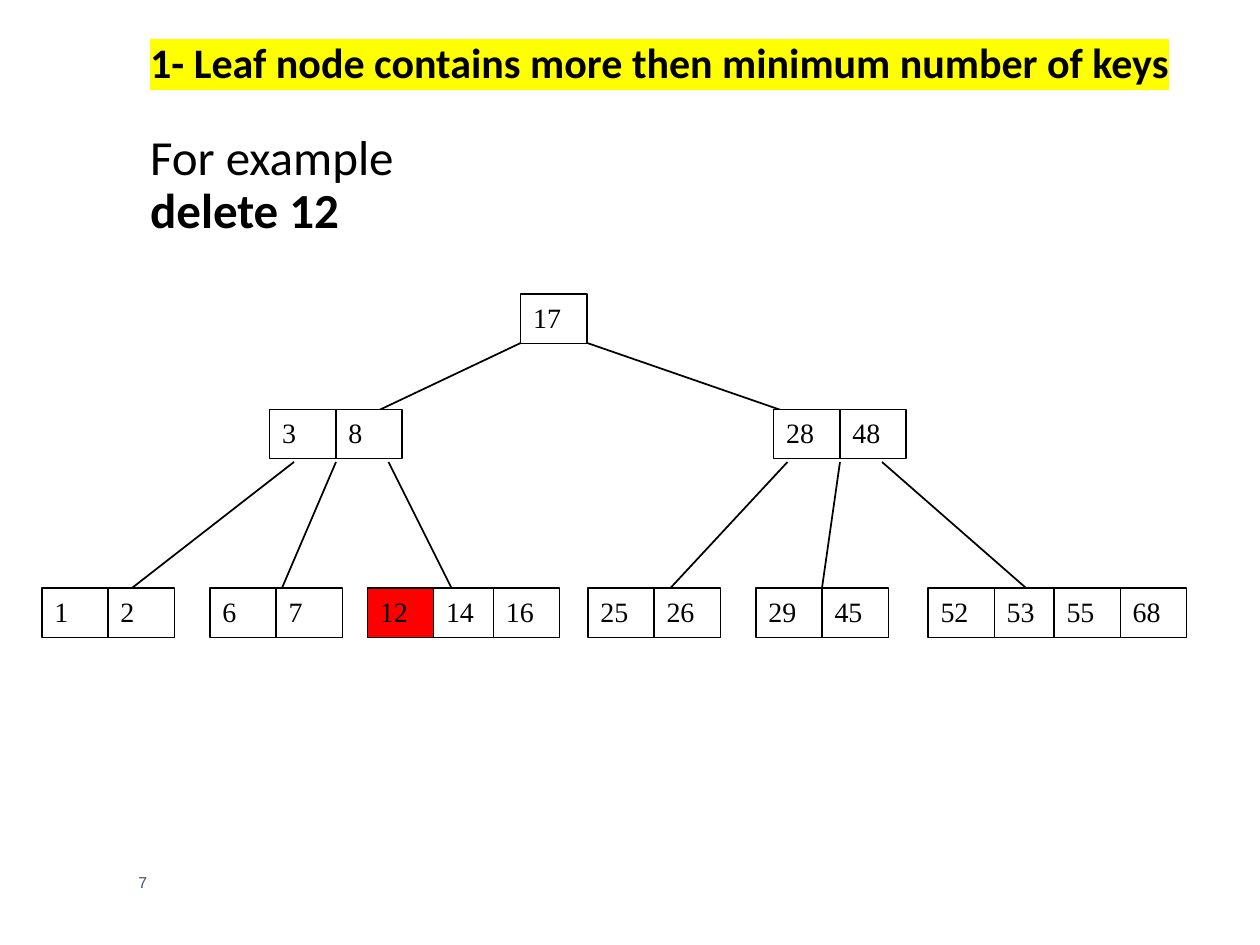
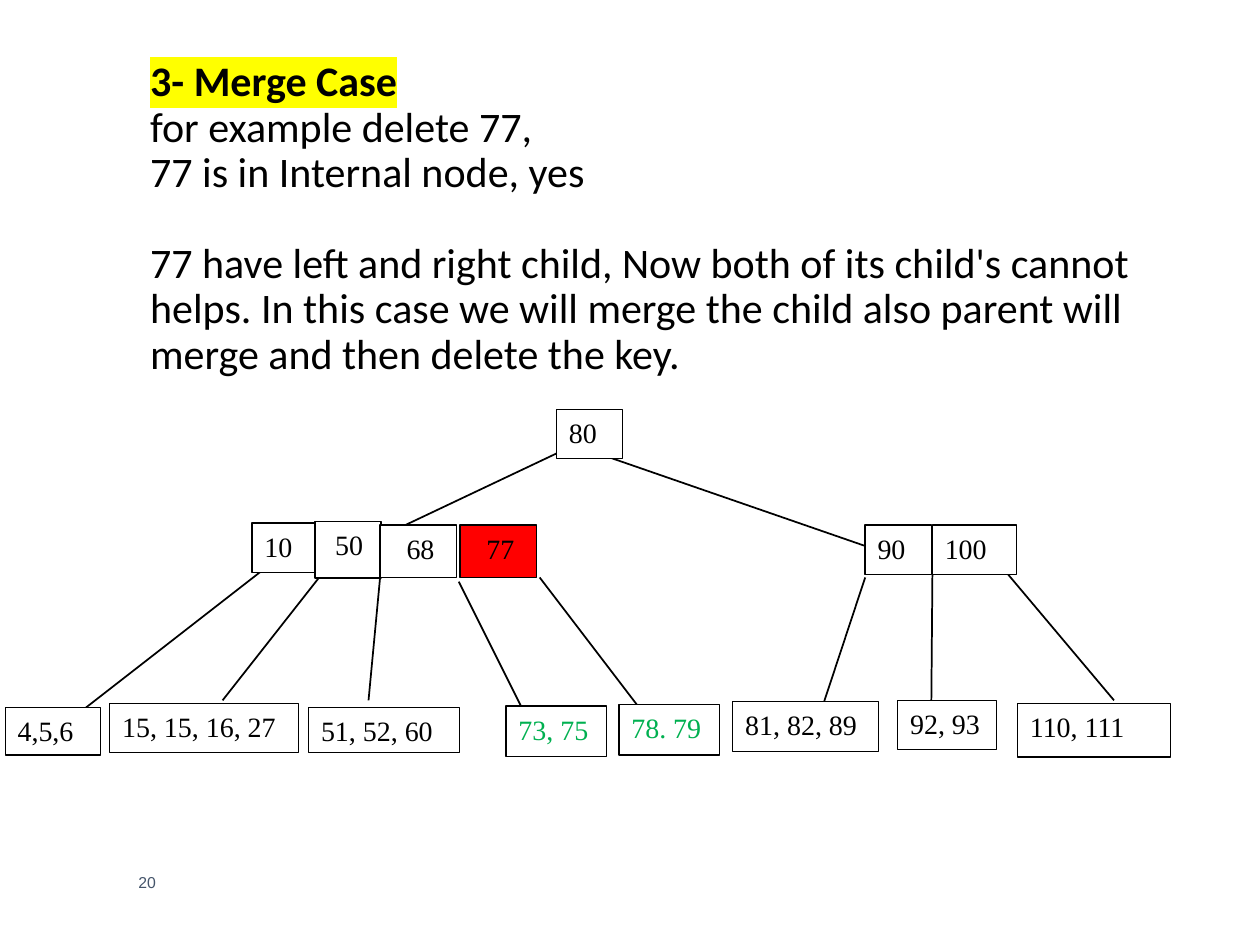
"""Build two slides that show deletion of a key from a B-tree."""
from dataclasses import dataclass, field

from lxml.etree import SubElement
from pptx import Presentation
from pptx.dml.color import RGBColor
from pptx.enum.shapes import MSO_CONNECTOR, MSO_SHAPE
from pptx.enum.text import MSO_ANCHOR, MSO_AUTO_SIZE, PP_ALIGN
from pptx.oxml.ns import qn
from pptx.util import Inches, Pt

COLORS = {"ink": "000000", "paper": "FFFFFF", "deleted": "FF0000", "merged": "00B050",
          "highlight": "FFFF00", "number": "44546A"}
WIDTH, HEIGHT = Inches(10), Inches(7.5)
COL, ROW = WIDTH / 120, HEIGHT / 90
KEY_W, KEY_H, PAIR_W = 6.3, 4.7, 12

FONTS = {
    "heading": {"name": "Calibri", "size": Pt(24), "bold": True},
    "text": {"name": "Calibri", "size": Pt(24), "bold": False},
    "example": {"name": "Calibri", "size": Pt(28), "bold": False},
    "task": {"name": "Calibri", "size": Pt(28), "bold": True},
    "key": {"name": "Times New Roman", "size": Pt(16)},
    "number": {"name": "Arial", "size": Pt(9)},
}
TITLE_FRAME = {"vertical_anchor": MSO_ANCHOR.MIDDLE, "auto_size": MSO_AUTO_SIZE.NONE, "word_wrap": True}
KEY_FRAME = {"vertical_anchor": MSO_ANCHOR.TOP, "word_wrap": True}
NUMBER_FRAME = {"vertical_anchor": MSO_ANCHOR.MIDDLE, "word_wrap": True}


@dataclass
class Line:
    """One paragraph of the title."""
    text: str
    font: str
    gap: int = 0


@dataclass
class Box:
    """One box of keys, in columns and rows."""
    text: str
    x: float
    y: float
    w: float = KEY_W
    h: float = KEY_H
    fill: str = "paper"
    color: str = "ink"
    inset: float = 0.1


@dataclass
class TreeSlide:
    """The content of one slide."""
    number: int
    title_rows: float
    title: list[Line]
    boxes: list[Box]
    edges: list[tuple[float, float, float, float]] = field(default_factory=list)


def rgb(name: str) -> RGBColor:
    """Look up a named colour."""
    return RGBColor.from_string(COLORS[name])


def place(x: float, y: float, w: float, h: float) -> tuple[int, int, int, int]:
    """Turn columns and rows into slide lengths."""
    return round(x * COL), round(y * ROW), round(w * COL), round(h * ROW)


def apply(target, values: dict) -> None:
    """Set each format value on the target."""
    for name, value in values.items():
        setattr(target, name, value)


def add_run(p, text: str, font: str, color: str = "ink"):
    """Add a formatted run to a paragraph."""
    r = p.add_run()
    r.text = text
    r.font.color.rgb = rgb(color)
    apply(r.font, FONTS[font])
    return r


def highlight(r) -> None:
    """Mark a run with the highlight colour."""
    rpr = r.font._element
    mark = SubElement(rpr, qn("a:highlight"))
    SubElement(mark, qn("a:srgbClr"), val=COLORS["highlight"])
    rpr.find(qn("a:latin")).addprevious(mark)


def add_title(s, lines: list[Line], rows: float) -> None:
    """Fill and move the title placeholder."""
    sp = s.shapes.title
    sp.left, sp.top, sp.width, sp.height = place(13.1, 3.1, 103.4, rows)
    tf = sp.text_frame
    apply(tf, TITLE_FRAME)
    for i, line in enumerate(lines):
        p = tf.add_paragraph() if i else tf.paragraphs[0]
        apply(p, {"alignment": PP_ALIGN.LEFT, "line_spacing": 0.9,
                  "space_before": Pt(0), "space_after": Pt(line.gap)})
        r = add_run(p, line.text, line.font)
        if line.font == "heading":
            highlight(r)


def add_number(s, number: int) -> None:
    """Add the slide number at the foot."""
    tf = s.shapes.add_textbox(*place(12, 81, 52, 6)).text_frame
    apply(tf, NUMBER_FRAME)
    add_run(tf.paragraphs[0], str(number), "number", "number")


def add_edge(s, x1: float, y1: float, x2: float, y2: float) -> None:
    """Draw a line from a parent to a child."""
    sp = s.shapes.add_connector(MSO_CONNECTOR.STRAIGHT, *place(x1, y1, x2, y2))
    sp.line.color.rgb = rgb("ink")
    sp.line.width = Pt(1)
    SubElement(sp._element.spPr, qn("a:effectLst"))


def add_box(s, box: Box) -> None:
    """Draw a box of keys."""
    sp = s.shapes.add_shape(MSO_SHAPE.RECTANGLE, *place(box.x, box.y, box.w, box.h))
    sp.shadow.inherit = False
    sp.fill.solid()
    sp.fill.fore_color.rgb = rgb(box.fill)
    sp.line.color.rgb = rgb("ink")
    sp.line.width = Pt(0.75)
    tf = sp.text_frame
    apply(tf, KEY_FRAME)
    tf.margin_left = Inches(box.inset)
    p = tf.paragraphs[0]
    p.alignment = PP_ALIGN.LEFT
    add_run(p, box.text, "key", box.color)


def node(x: float, y: float, keys: str, deleted: str = "") -> list[Box]:
    """Lay out the keys of a node side by side."""
    return [Box(key, x + i // 2 * PAIR_W + i % 2 * KEY_W, y,
                fill="deleted" if key == deleted else "paper")
            for i, key in enumerate(keys.split())]


LEAF_CASE = TreeSlide(
    7, 20.6,
    [Line("1- Leaf node contains more then minimum number of keys", "heading", 26),
     Line("For example", "example"),
     Line("delete 12", "task")],
    [*node(49.6, 28, "17"),
     *node(25.7, 39, "3 8"), *node(73.7, 39, "28 48"),
     *node(4, 56, "1 2"), *node(20, 56, "6 7"), *node(35, 56, "12 14 16", "12"),
     *node(56, 56, "25 26"), *node(72, 56, "29 45"), *node(88.4, 56, "52 53 55 68")],
    [(51, 32, 32, 41), (54, 32, 80, 41),
     *((x1, 44, x2, 58) for x1, x2 in
       ((28, 10), (32, 26), (37, 44), (75, 62), (80, 78), (84, 100)))],
)

MERGE_CASE = TreeSlide(
    20, 35.6,
    [Line("3- Merge Case", "heading"),
     Line("for example delete 77,", "text"),
     Line("77 is in Internal node, yes", "text", 26),
     Line("77 have left and right child, Now both of its child's cannot helps. In this case "
          "we will merge the child also parent will merge and then delete the key.", "text")],
    [Box("80", 53, 39),
     Box("10", 24, 49.8),
     Box("50", 30, 49.65, h=5.4, inset=0.16),
     Box("68", 36.2, 50, 7.3, 5, inset=0.21),
     Box("77", 43.8, 50, 7.3, 5, fill="deleted", inset=0.21),
     Box("90", 82.4, 50),
     Box("100", 88.8, 50, 8),
     Box("4,5,6", 0.5, 67.4, 9.1, 4.5),
     Box("15, 15, 16, 27", 10.45, 67, 18),
     Box("51, 52, 60", 29.4, 67.4, 14.4, 4.3),
     Box("73, 75", 48.2, 67.25, 9.6, 4.8, color="merged"),
     Box("78. 79", 58.95, 67.1, 9.6, 4.8, color="merged"),
     Box("81, 82, 89", 69.8, 66.8, 13.9, 4.8),
     Box("92, 93", 85.5, 66.7, 9.4),
     Box("110, 111", 96.9, 67, 14.6, 5.1)],
    [(53.4, 43, 34.4, 52), (56.4, 43, 82.4, 52),
     (25.4, 54, 7.4, 68), (30.4, 55, 21.2, 66.7), (36.2, 55, 35.1, 66.7),
     (43.7, 55.4, 49.6, 67.2), (51.4, 55, 60.8, 67.3),
     (82.4, 55, 78.5, 66.8), (88.8, 54.7, 88.7, 67.3), (96, 54.7, 106.1, 66.7)],
)


def main() -> None:
    """Build and save the presentation."""
    prs = Presentation()
    prs.slide_width, prs.slide_height = WIDTH, HEIGHT
    for case in (LEAF_CASE, MERGE_CASE):
        s = prs.slides.add_slide(prs.slide_layouts.get_by_name("Title Only"))
        add_title(s, case.title, case.title_rows)
        add_number(s, case.number)
        for edge in case.edges:
            add_edge(s, *edge)
        for box in case.boxes:
            add_box(s, box)
    prs.save("out.pptx")


if __name__ == "__main__":
    main()
